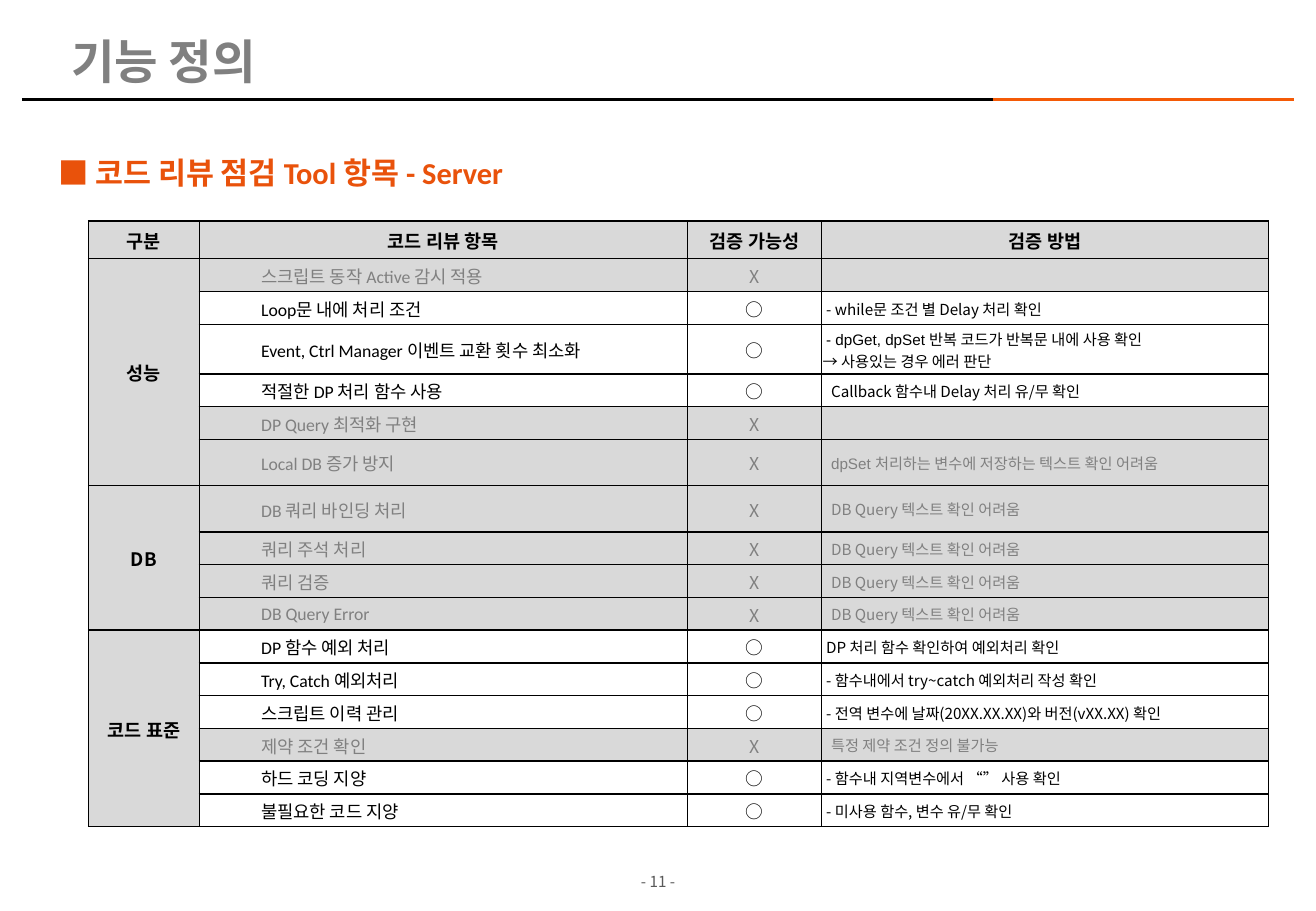
from dataclasses import dataclass
from lxml.etree import SubElement
from pptx import Presentation
from pptx.dml.color import RGBColor
from pptx.enum.shapes import MSO_CONNECTOR
from pptx.enum.text import MSO_ANCHOR, PP_ALIGN
from pptx.oxml import parse_xml
from pptx.oxml.ns import nsdecls, qn
from pptx.util import Inches, Pt


@dataclass(frozen=True)
class Theme:
    black: str = "000000"
    white: str = "FFFFFF"
    grey: str = "808080"
    dark: str = "595959"
    shade: str = "D9D9D9"
    orange: str = "E9520B"
    rule: str = "F45A06"
    noto: str = "Noto Sans CJK KR"
    latin: str = "Calibri"
    arial: str = "Arial"
    title: float = 28
    sub: float = 18
    head: float = 11
    item: float = 10.5
    note: float = 9


WIDTHS = [0.91, 4.02, 1.1, 3.68]
ROW = 0.27
HEADS = ["구분", "코드 리뷰 항목", "검증 가능성", "검증 방법"]
YES, NO = "○", "X"
DEEP = 0.07  # first-line indent of notes without a dash
DASH = 0.03
# group: (item, check, note, note indent, row height)
GROUPS = {
    "성능": [
        ("스크립트 동작 Active 감시 적용", NO, "", 0, ROW),
        ("Loop문 내에 처리 조건", YES, "- while문 조건 별 Delay 처리 확인", DASH, ROW),
        ("Event, Ctrl Manager 이벤트 교환 횟수 최소화", YES,
         "- dpGet, dpSet 반복 코드가 반복문 내에 사용 확인\v→ 사용있는 경우 에러 판단", DASH, 0.41),
        ("적절한 DP 처리 함수 사용", YES, "Callback 함수내 Delay 처리 유/무 확인", DEEP, ROW),
        ("DP Query 최적화 구현", NO, "", 0, ROW),
        ("Local DB 증가 방지", NO, "dpSet 처리하는 변수에 저장하는 텍스트 확인 어려움", DEEP, 0.38),
    ],
    "DB": [
        ("DB 쿼리 바인딩 처리", NO, "DB Query 텍스트 확인 어려움", DEEP, 0.38),
        ("쿼리 주석 처리", NO, "DB Query 텍스트 확인 어려움", DEEP, ROW),
        ("쿼리 검증", NO, "DB Query 텍스트 확인 어려움", DEEP, ROW),
        ("DB Query Error", NO, "DB Query 텍스트 확인 어려움", DEEP, ROW),
    ],
    "코드 표준": [
        ("DP 함수 예외 처리", YES, "DP 처리 함수 확인하여 예외처리 확인", DASH, ROW),
        ("Try, Catch 예외처리", YES, "- 함수내에서 try~catch 예외처리 작성 확인", DASH, ROW),
        ("스크립트 이력 관리", YES, "- 전역 변수에 날짜(20XX.XX.XX)와 버전(vXX.XX) 확인", DASH, ROW),
        ("제약 조건 확인", NO, "특정 제약 조건 정의 불가능", DEEP, ROW),
        ("하드 코딩 지양", YES, "- 함수내 지역변수에서 “” 사용 확인", DASH, ROW),
        ("불필요한 코드 지양", YES, "- 미사용 함수, 변수 유/무 확인", DASH, ROW),
    ],
}


class Page:
    def __init__(self, slide, theme):
        self.slide = slide
        self.theme = theme

    def style(self, para, size, color, font, bold=False, align=PP_ALIGN.LEFT):
        """Format a paragraph; Korean glyphs always use the Noto face."""
        para.alignment = align
        face = para.font
        face.size, face.bold, face.name = Pt(size), bold, font
        face.color.rgb = RGBColor.from_string(color)
        props = para._p.get_or_add_pPr().get_or_add_defRPr()
        SubElement(props, qn("a:ea")).set("typeface", self.theme.noto)

    def text(self, words, box, *look, space=1.0, anchor=MSO_ANCHOR.TOP, **more):
        frame = self.slide.shapes.add_textbox(*map(Inches, box)).text_frame
        frame.word_wrap = True
        frame.vertical_anchor = anchor
        frame.text = words
        para = frame.paragraphs[0]
        para.line_spacing = space
        self.style(para, *look, **more)

    def line(self, left, right, top, color):
        link = self.slide.shapes.add_connector(
            MSO_CONNECTOR.STRAIGHT, Inches(left), Inches(top), Inches(right), Inches(top))
        link.line.width = Pt(2.25)
        link.line.color.rgb = RGBColor.from_string(color)
        SubElement(link._element.spPr, qn("a:effectLst"))

    def table(self, left, top, widths, heights):
        frame = self.slide.shapes.add_table(
            len(heights), len(widths), Inches(left), Inches(top),
            Inches(sum(widths)), Inches(sum(heights)))
        grid = frame.table
        grid.first_row = grid.horz_banding = False
        for col, width in zip(grid.columns, widths):
            col.width = Inches(width)
        for row, height in zip(grid.rows, heights):
            row.height = Inches(height)
        for cell in grid.iter_cells():
            self.frame(cell)
        return grid

    def frame(self, cell):
        """Give a cell its margins, fill and black borders."""
        cell.margin_left = cell.margin_top = cell.margin_right = Inches(0.01)
        cell.margin_bottom = 0
        cell.vertical_anchor = MSO_ANCHOR.MIDDLE
        cell.fill.solid()
        cell.fill.fore_color.rgb = RGBColor.from_string(self.theme.shade)
        props = cell._tc.get_or_add_tcPr()
        for spot, side in enumerate("LRTB"):
            props.insert(spot, parse_xml(
                f'<a:ln{side} {nsdecls("a")} w="12700"><a:solidFill>'
                f'<a:srgbClr val="{self.theme.black}"/></a:solidFill></a:ln{side}>'))

    def fill(self, cell, words, *look, margin=0, indent=0, **more):
        cell.text = words
        para = cell.text_frame.paragraphs[0]
        self.style(para, *look, **more)
        props = para._p.get_or_add_pPr()
        props.set("marL", str(Inches(margin)))
        props.set("indent", str(Inches(indent)))

    def review(self, grid, row, entry):
        item, check, note, indent, _ = entry
        look = self.theme
        color = look.black if check == YES else look.grey
        cells = [grid.cell(row, col) for col in (1, 2, 3)]
        if check == YES:
            for cell in cells:
                cell.fill.fore_color.rgb = RGBColor.from_string(look.white)
        self.fill(cells[0], item, look.item, color, look.latin, margin=0.5)
        self.fill(cells[1], check, look.item, color, look.noto, align=PP_ALIGN.CENTER)
        font = look.arial if "dpSet" in note else look.noto
        self.fill(cells[2], note, look.note, color, font, indent=indent)


def main():
    deck = Presentation()
    deck.slide_width, deck.slide_height = Inches(10.83), Inches(7.5)
    look = Theme()
    page = Page(deck.slides.add_slide(deck.slide_layouts[6]), look)
    mid = PP_ALIGN.CENTER

    page.text("- 11 -", (5.02, 7.13, 0.79, 0.28), look.note, look.dark, look.noto, align=mid)
    page.line(0.18, 10.02, 0.82, look.black)
    page.line(8.17, 10.65, 0.82, look.rule)
    page.text("■ 코드 리뷰 점검 Tool 항목 - Server", (0.38, 1.07, 10.22, 0.56),
              look.sub, look.orange, look.latin, bold=True, space=1.5)
    page.text("기능 정의", (0.49, 0.25, 7.5, 0.55), look.title, look.grey, look.arial,
              bold=True, space=0.9, anchor=MSO_ANCHOR.MIDDLE)

    heights = [0.31] + [entry[-1] for group in GROUPS.values() for entry in group]
    grid = page.table(0.73, 1.82, WIDTHS, heights)
    label = (look.head, look.black, look.noto)
    for col, head in enumerate(HEADS):
        page.fill(grid.cell(0, col), head, *label, bold=True, align=mid)
    row = 1
    for name, group in GROUPS.items():
        first = grid.cell(row, 0)
        first.merge(grid.cell(row + len(group) - 1, 0))
        page.fill(first, name, *label, bold=True, align=mid)
        for step, entry in enumerate(group):
            page.review(grid, row + step, entry)
        row += len(group)

    deck.save("out.pptx")


if __name__ == "__main__":
    main()
